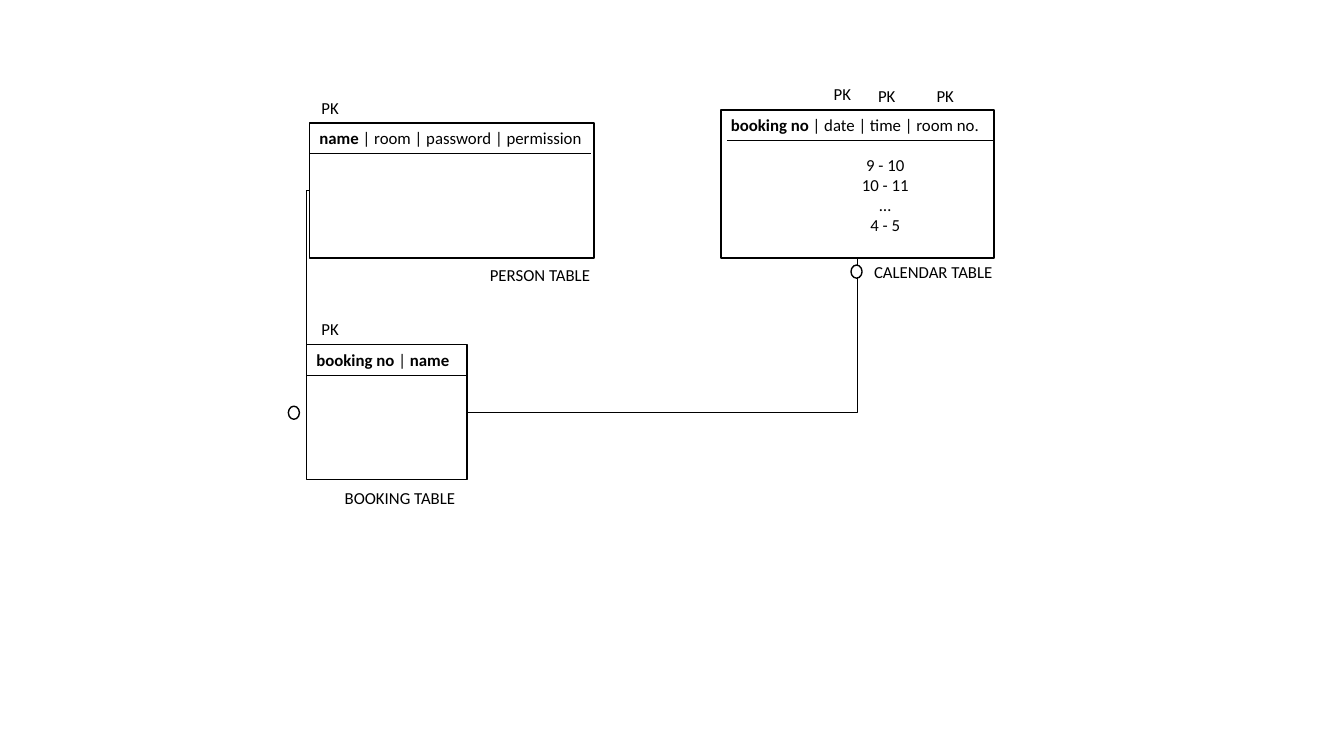
"""Build the booking database diagram as a one-slide presentation."""
from dataclasses import dataclass

from lxml.etree import SubElement
from pptx import Presentation
from pptx.dml.color import RGBColor
from pptx.enum.shapes import MSO_CONNECTOR as CONN, MSO_SHAPE as SHAPE
from pptx.enum.text import MSO_AUTO_SIZE as FIT, PP_ALIGN as ALIGN
from pptx.oxml.ns import qn
from pptx.slide import Slide
from pptx.text.text import _Paragraph as Paragraph
from pptx.util import Inches, Pt


@dataclass(frozen=True)
class Theme:
    font: str = "Calibri"
    size: Pt = Pt(12)
    ink: RGBColor = RGBColor(0, 0, 0)
    paper: RGBColor = RGBColor(255, 255, 255)
    outline: Pt = Pt(1)
    rule: Pt = Pt(0.5)
    slot_gap: Pt = Pt(14)
    slot_indent: Inches = Inches(0.44)


@dataclass(frozen=True)
class Run:
    text: str
    bold: bool = False


@dataclass(frozen=True)
class Box:
    x: float
    y: float
    w: float
    h: float


@dataclass(frozen=True)
class Label:
    text: str
    box: Box


@dataclass(frozen=True)
class Entity:
    frame: Box
    header: Box
    fields: tuple[Run, ...]
    rule: tuple[float, float]
    slots: tuple[str, ...] = ()


@dataclass(frozen=True)
class Line:
    start: tuple[float, float]
    end: tuple[float, float]
    bent: bool = False


THEME = Theme()
RULE_DROP = 0.3

ENTITIES = (
    Entity(Box(3.07, 1.22, 2.82, 1.34), Box(3.07, 1.22, 2.82, 0.31),
           (Run("name", True), Run(" | room | password | permission")),
           (3.07, 5.86)),
    Entity(Box(3.04, 3.42, 1.59, 1.34), Box(3.04, 3.42, 1.53, 0.31),
           (Run("booking no", True), Run(" | "), Run("name", True)),
           (3.04, 4.63)),
    Entity(Box(7.15, 1.09, 2.71, 1.47), Box(7.15, 1.09, 2.82, 1.33),
           (Run("booking no", True), Run(" | date | time | room no.")),
           (7.21, 9.86), ("9 - 10", "10 - 11", "…", "4 - 5")),
)

KEYS = ((3.09, 0.92), (3.09, 3.11), (8.17, 0.78), (8.61, 0.8), (9.19, 0.8))
LABELS = (
    *(Label("PK", Box(x, y, 0.38, 0.3)) for x, y in KEYS),
    Label("PERSON TABLE", Box(4.76, 2.58, 1.21, 0.31)),
    Label("BOOKING TABLE", Box(3.32, 4.79, 1.31, 0.31)),
    Label("CALENDAR TABLE", Box(8.57, 2.55, 1.39, 0.31)),
)

LINES = (
    Line((7.15, 1.39), (7.15, 1.76)),
    Line((3.07, 1.89), (3.04, 4.09), bent=True),
    Line((4.63, 4.09), (8.5, 2.56), bent=True),
)

OPTIONAL_MARKS = (Box(2.86, 4.03, 0.11, 0.13), Box(8.44, 2.63, 0.11, 0.13))


def place(box: Box) -> tuple[Inches, ...]:
    """Return the box as slide lengths."""
    return tuple(Inches(v) for v in (box.x, box.y, box.w, box.h))


def add_outline(s: Slide, kind: SHAPE, box: Box) -> None:
    """Draw a white preset shape with a black outline."""
    sp = s.shapes.add_shape(kind, *place(box))
    sp.shadow.inherit = False
    sp.fill.solid()
    sp.fill.fore_color.rgb = THEME.paper
    sp.line.color.rgb = THEME.ink
    sp.line.width = THEME.outline


def add_line(s: Slide, line: Line) -> None:
    """Draw a straight line or a single-corner connector."""
    kind = CONN.ELBOW if line.bent else CONN.STRAIGHT
    points = (Inches(v) for v in (*line.start, *line.end))
    sp = s.shapes.add_connector(kind, *points)
    sp.line.color.rgb = THEME.ink
    sp.line.width = THEME.rule
    props = sp._element.spPr
    if line.bent:
        props.find(qn("a:prstGeom")).set("prst", "bentConnector2")
    SubElement(props, qn("a:effectLst"))


def add_runs(p: Paragraph, runs: tuple[Run, ...]) -> None:
    """Append formatted runs to a paragraph."""
    for run in runs:
        r = p.add_run()
        r.text = run.text
        r.font.name = THEME.font
        r.font.size = THEME.size
        r.font.bold = run.bold
        r.font.color.rgb = THEME.ink


def add_text(s: Slide, box: Box, runs: tuple[Run, ...],
             slots: tuple[str, ...] = ()) -> None:
    """Add a text box with a first line and optional centred time slots."""
    tf = s.shapes.add_textbox(*place(box)).text_frame
    tf.word_wrap = bool(slots)
    tf.auto_size = FIT.SHAPE_TO_FIT_TEXT
    add_runs(tf.paragraphs[0], runs)
    for i, slot in enumerate(slots):
        p = tf.add_paragraph()
        p.alignment = ALIGN.CENTER
        p.space_before = Pt(0) if i else THEME.slot_gap
        p._p.get_or_add_pPr().set("marL", str(THEME.slot_indent))
        add_runs(p, (Run(slot),))


def add_entity(s: Slide, entity: Entity) -> None:
    """Draw a table frame with its field names and header rule."""
    add_outline(s, SHAPE.RECTANGLE, entity.frame)
    add_text(s, entity.header, entity.fields, entity.slots)
    y = entity.frame.y + RULE_DROP
    left, right = entity.rule
    add_line(s, Line((left, y), (right, y)))


def main() -> None:
    """Build and save the slide."""
    prs = Presentation()
    prs.slide_width, prs.slide_height = Inches(13.33), Inches(7.5)
    s = prs.slides.add_slide(prs.slide_layouts[6])
    for entity in ENTITIES:
        add_entity(s, entity)
    for label in LABELS:
        add_text(s, label.box, (Run(label.text),))
    for line in LINES:
        add_line(s, line)
    for mark in OPTIONAL_MARKS:
        add_outline(s, SHAPE.OVAL, mark)
    prs.save("out.pptx")


if __name__ == "__main__":
    main()
